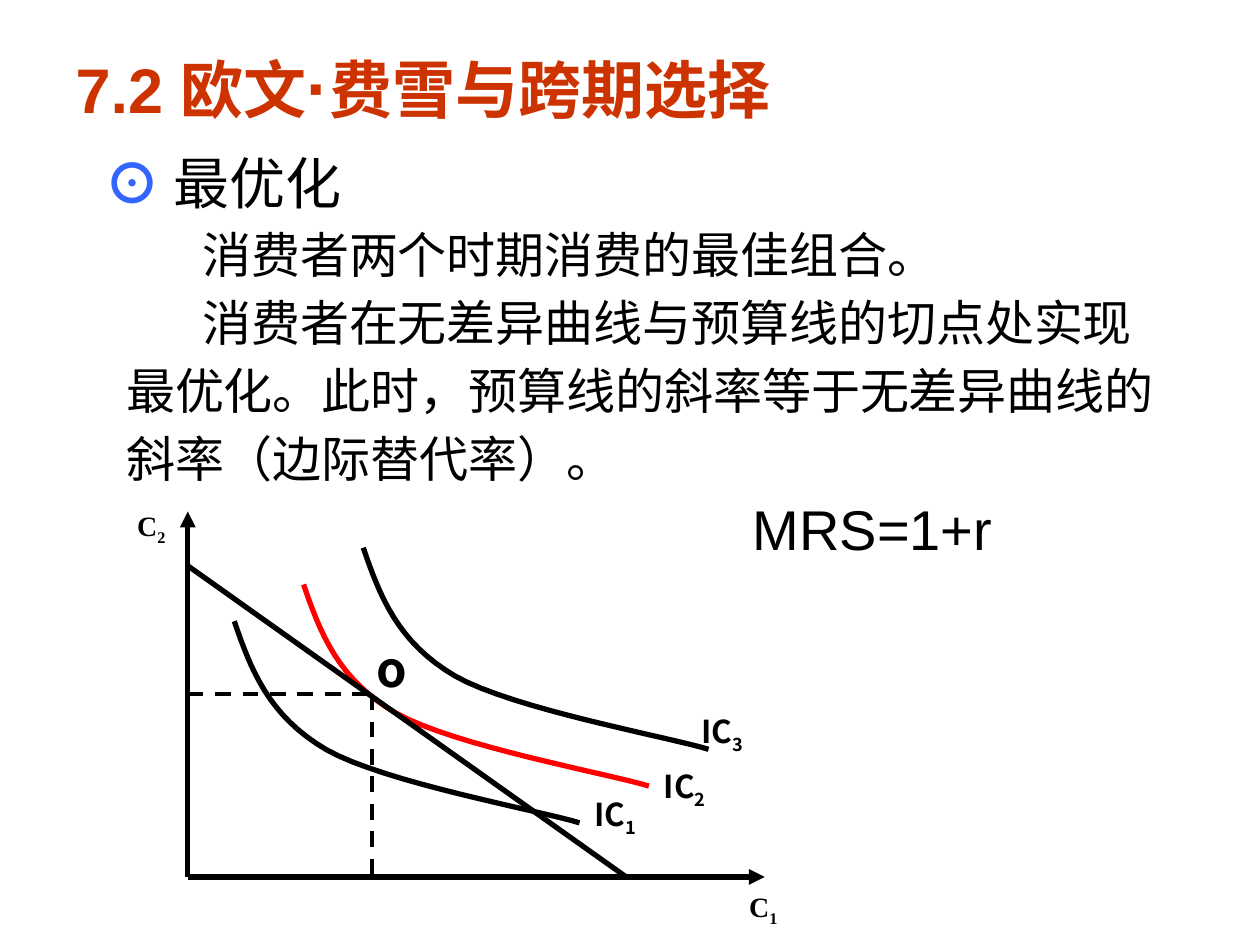
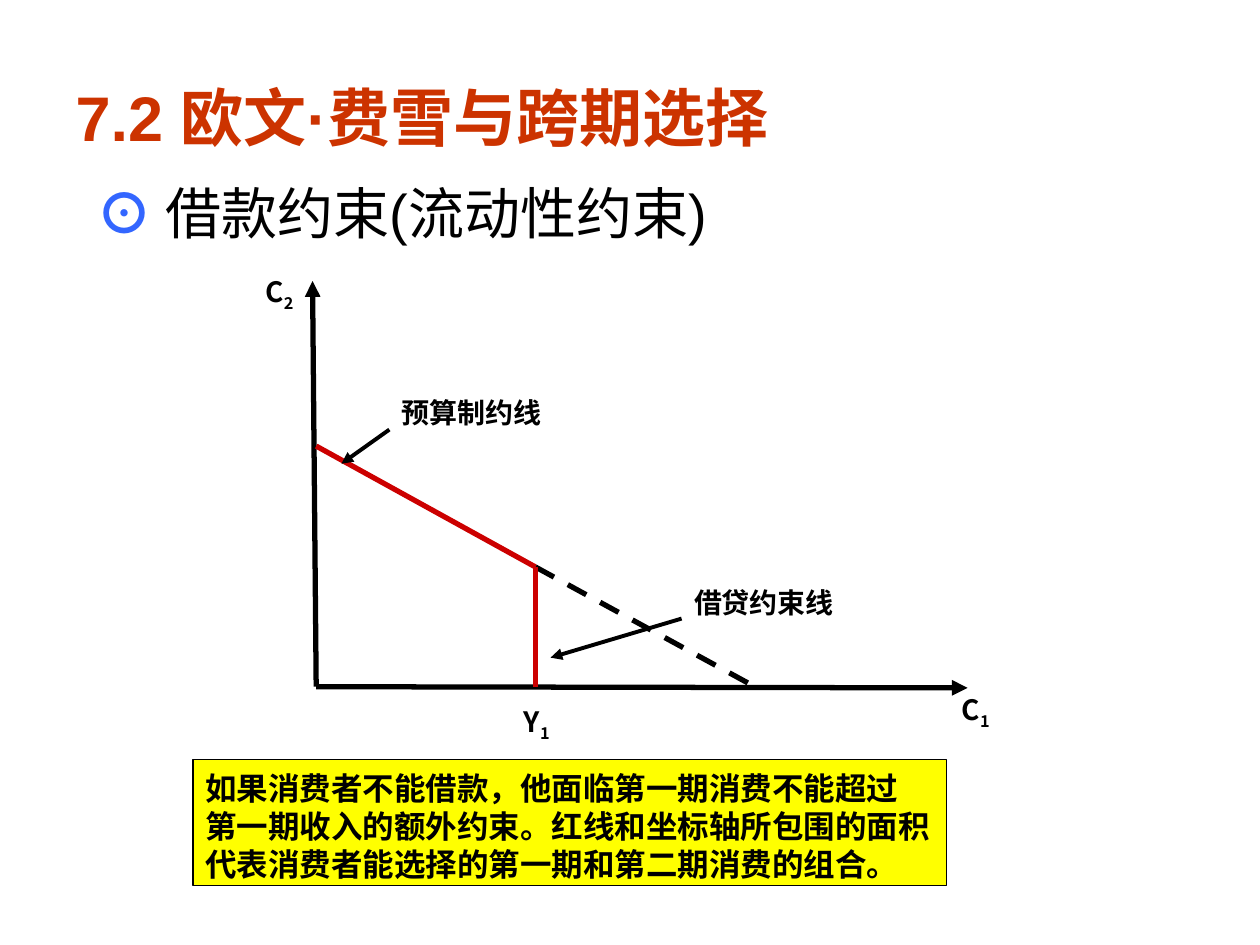
from dataclasses import dataclass
from lxml.etree import SubElement
from pptx import Presentation
from pptx.dml.color import RGBColor
from pptx.enum.dml import MSO_LINE
from pptx.enum.shapes import MSO_CONNECTOR, MSO_SHAPE
from pptx.enum.text import MSO_ANCHOR, PP_ALIGN
from pptx.oxml.ns import qn
from pptx.util import Pt


@dataclass(frozen=True)
class Theme:
    ink: str = "000000"
    title: str = "CC3300"
    mark: str = "3366FF"
    best: str = "FF0000"
    limit: str = "CC0000"
    note: str = "FFFF00"
    sans: str = "Arial"
    serif: str = "Times New Roman"
    han: str = "Noto Sans CJK SC"
    head: int = 36
    dot: int = 40
    lead: int = 32
    body: int = 28
    name: int = 18
    small: int = 16
    thick: float = 3
    thin: float = 2.25
    edge: float = 0.75


T = Theme()

OPTIMUM = {
    "title": [("7.2 欧文", T.head), ("·", T.dot), ("费雪与跨期选择", T.head)],
    "top": 3.6,
    "body": (52.5, 77),
    "lead": "最优化",
    "text": [
        ("消费者两个时期消费的最佳组合。", 56, T.body),
        ("消费者在无差异曲线与预算线的切点处实现", 56, T.body),
        ("最优化。此时，预算线的斜率等于无差异曲线的", 12.5, T.body),
        ("斜率（边际替代率）。", 12.5, T.body),
        ("MRS=1+r", 370.5, T.lead),
    ],
}
LIMIT = {
    "title": [("7.2 欧文·费雪与跨期选择", T.head)],
    "top": 21.6,
    "body": (48, 94.3),
    "lead": "借款约束(流动性约束)",
    "text": [],
}
NOTE = [
    "如果消费者不能借款，他面临第一期消费不能超过",
    "第一期收入的额外约束。红线和坐标轴所包围的面积",
    "代表消费者能选择的第一期和第二期消费的组合。",
]

CURVE = [(133.9, 355), (143.3, 382.4), (153.3, 409), (186.5, 428.4),
         (219.6, 447.2), (307.4, 463), (331.2, 470.2)]
SHIFTS = [(0, 0, T.ink), (73.7, -42, T.ink), (39.6, -21, T.best)]

ZERO, TOUCH = (107.3, 501.1), (212.4, 396.7)
LINES_A = [
    (ZERO, (437, 501.1), T.ink, T.thick, "arrow"),
    (ZERO, (107.3, 292.3), T.ink, T.thick, "arrow"),
    ((107.3, 323.3), (357.8, 501.1), T.ink, T.thick, ""),
    (TOUCH, (TOUCH[0], ZERO[1]), T.ink, T.thin, "dash"),
    ((ZERO[0], TOUCH[1]), TOUCH, T.ink, T.thin, "dash"),
]
LABELS_A = [
    ("o", "", 208, 365, 33, 32, T.body, T.han),
    ("C", "2", 71.3, 287.3, 40, 42, T.small, T.serif),
    ("C", "1", 421, 504.5, 45, 25, T.small, T.serif),
    ("IC", "1", 332.6, 454.5, 40, 27, T.name, T.han),
    ("IC", "2", 372.2, 438.5, 40, 27, T.name, T.han),
    ("IC", "3", 393.8, 407, 40, 27, T.name, T.han),
]

ROOT, KINK = (180.7, 392.4), (306, 324)
LINES_B = [
    (ROOT, (553, 393.1), T.ink, T.thick, "arrow"),
    (ROOT, (178.6, 160.6), T.ink, T.thick, "arrow"),
    ((180.7, 254.9), KINK, T.limit, T.thick, ""),
    (KINK, (431.3, 392.4), T.ink, T.thick, "dash"),
    (KINK, (KINK[0], ROOT[1]), T.limit, T.thick, ""),
    ((389.5, 353.5), (314.6, 375.8), T.ink, T.thin, "arrow"),
    ((222.5, 245.5), (195.1, 265), T.ink, T.thin, "arrow"),
]
LABELS_B = [
    ("借贷约束线", "", 389.5, 334.5, 101, 39, T.small, T.han),
    ("预算制约线", "", 222.5, 226, 98, 30, T.small, T.han),
    ("Y", "1", 292.3, 402.5, 111, 30, T.small, T.han),
    ("C", "1", 542.5, 396, 57, 36, T.small, T.han),
    ("C", "2", 144.7, 157, 45, 47, T.small, T.han),
]


def style(run, size, color=T.ink, bold=False, face=T.sans):
    font = run.font
    font.size, font.bold, font.name = Pt(size), bold, face
    font.color.rgb = RGBColor.from_string(color)
    SubElement(run._r.get_or_add_rPr(), qn("a:ea"), typeface=T.han)


def add_run(para, text, *look):
    run = para.add_run()
    run.text = text
    style(run, *look)
    return run


def add_box(slide, x, y, w, h):
    box = slide.shapes.add_textbox(Pt(x), Pt(y), Pt(w), Pt(h))
    box.text_frame.word_wrap = True
    return box.text_frame


def add_page(deck, page):
    slide = deck.slides.add_slide(deck.slide_layouts[5])
    head = slide.shapes.title
    head.left, head.top = Pt(36), Pt(page["top"])
    head.width, head.height = Pt(648), Pt(90)
    frame = head.text_frame
    frame.vertical_anchor = MSO_ANCHOR.MIDDLE
    para = frame.paragraphs[0]
    para.alignment = PP_ALIGN.LEFT
    for text, size in page["title"]:
        add_run(para, text, size, T.title, True)

    frame = add_box(slide, *page["body"], 648, 356.4)
    para = frame.paragraphs[0]
    para.line_spacing = Pt(42.5)
    add_run(para, "⊙ ", T.lead, T.mark, True)
    add_run(para, page["lead"], T.lead)
    for text, indent, size in page["text"]:
        para = frame.add_paragraph()
        para.line_spacing = Pt(42.5 if size == T.lead else 38.9)
        para._p.get_or_add_pPr().set("marL", str(Pt(indent)))
        add_run(para, text, size)
    return slide


def add_line(slide, start, end, color, width, kind):
    ends = [Pt(v) for v in (*start, *end)]
    link = slide.shapes.add_connector(MSO_CONNECTOR.STRAIGHT, *ends)
    link.line.color.rgb = RGBColor.from_string(color)
    link.line.width = Pt(width)
    if kind == "dash":
        link.line.dash_style = MSO_LINE.DASH
    if kind == "arrow":
        SubElement(link.line._get_or_add_ln(), qn("a:tailEnd"), type="triangle")
    SubElement(link._element.spPr, qn("a:effectLst"))


def bezier(a, b, c, d, t):
    s = 1 - t
    return tuple(s**3 * p + 3 * s * s * t * q + 3 * s * t * t * r + t**3 * e
                 for p, q, r, e in zip(a, b, c, d))


def add_curve(slide, dx, dy, color, steps=16):
    spots = [bezier(*CURVE[i:i + 4], n / steps)
             for i in (0, 3) for n in range(1, steps + 1)]
    spots = [(Pt(x + dx), Pt(y + dy)) for x, y in [CURVE[0], *spots]]
    path = slide.shapes.build_freeform(*spots[0])
    path.add_line_segments(spots[1:], close=False)
    curve = path.convert_to_shape()
    curve.shadow.inherit = False
    curve.fill.background()
    curve.line.color.rgb = RGBColor.from_string(color)
    curve.line.width = Pt(T.thick)


def add_label(slide, text, sub, x, y, w, h, size, face):
    frame = add_box(slide, x, y, w, h)
    if face == T.han:
        frame.margin_top = 0
    para = frame.paragraphs[0]
    add_run(para, text, size, T.ink, True, face)
    if sub:
        run = add_run(para, sub, size, T.ink, True, face)
        run._r.get_or_add_rPr().set("baseline", "-25000")


def add_note(slide):
    box = slide.shapes.add_shape(MSO_SHAPE.RECTANGLE, Pt(110.2), Pt(434.2), Pt(430.6), Pt(72))
    box.shadow.inherit = False
    box.fill.solid()
    box.fill.fore_color.rgb = RGBColor.from_string(T.note)
    box.line.color.rgb = RGBColor.from_string(T.ink)
    box.line.width = Pt(T.edge)
    frame = box.text_frame
    frame.word_wrap = True
    frame.margin_top, frame.margin_right = Pt(6.6), 0
    frame.vertical_anchor = MSO_ANCHOR.MIDDLE
    frame.text = "\n".join(NOTE)
    for para in frame.paragraphs:
        para.alignment = PP_ALIGN.LEFT
        para.line_spacing = Pt(21.7)
        style(para.runs[0], T.name, T.ink, True)


def add_graph(slide, lines, labels):
    for line in lines:
        add_line(slide, *line)
    for label in labels:
        add_label(slide, *label)


def main():
    deck = Presentation()
    deck.slide_width, deck.slide_height = Pt(720), Pt(540)
    slide = add_page(deck, OPTIMUM)
    for shift in SHIFTS:
        add_curve(slide, *shift)
    add_graph(slide, LINES_A, LABELS_A)
    slide = add_page(deck, LIMIT)
    add_graph(slide, LINES_B, LABELS_B)
    add_note(slide)
    deck.save("out.pptx")


if __name__ == "__main__":
    main()
